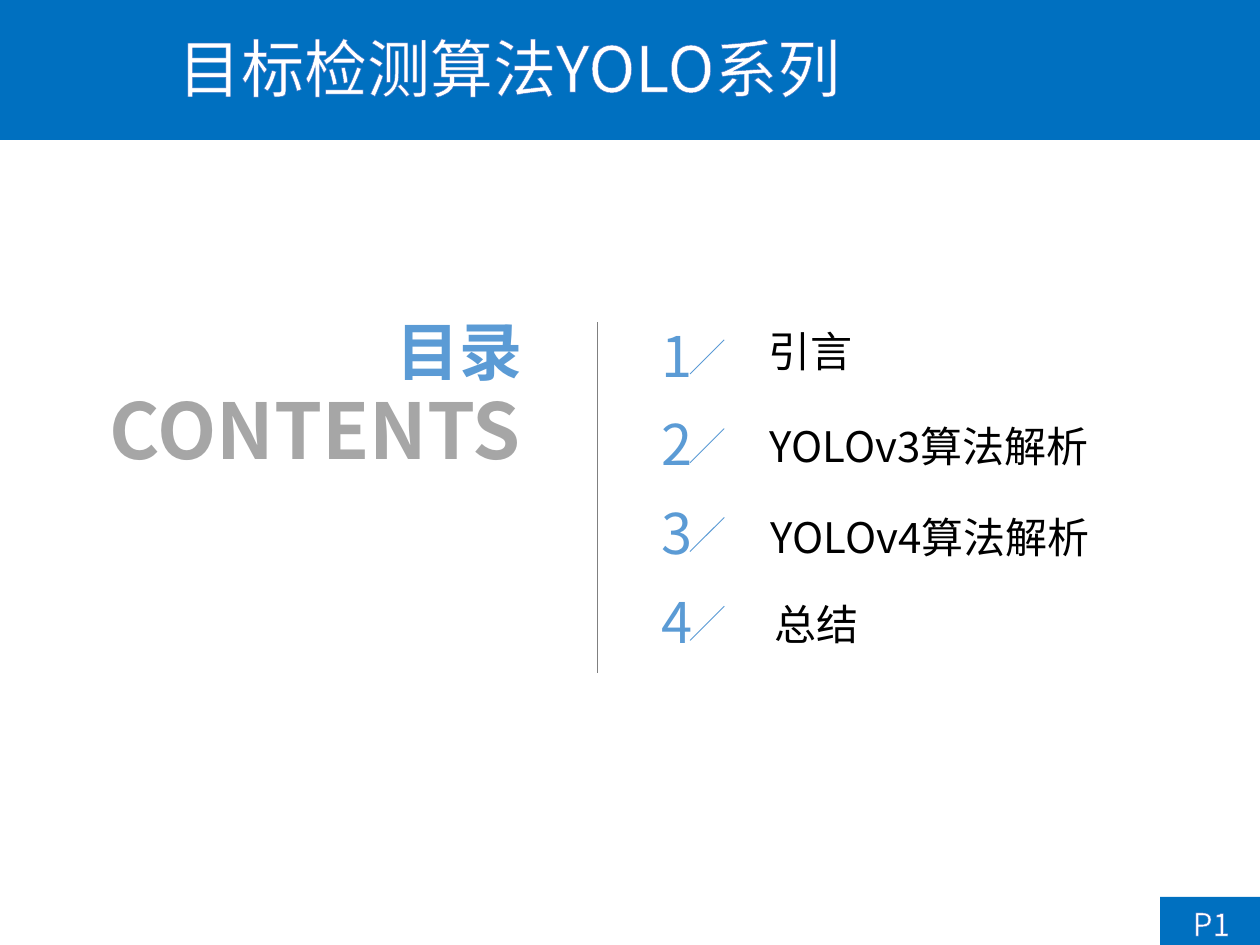
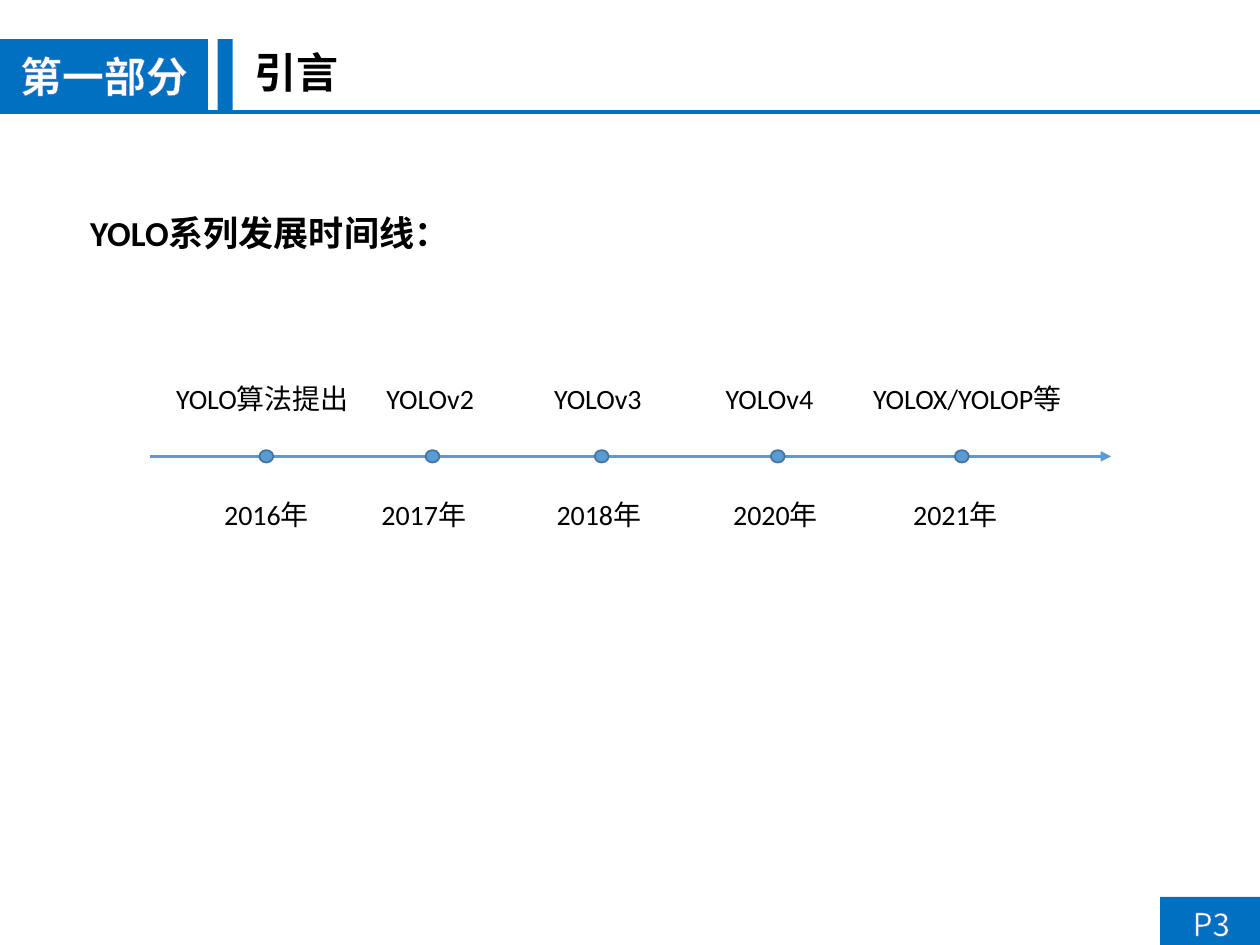
from lxml import etree
from pptx import Presentation
from pptx import util as u
from pptx.dml.color import RGBColor
from pptx.enum import shapes, text
from pptx.oxml import ns

Cm, Pt = u.Cm, u.Pt
SHAPE, ALIGN = shapes.MSO_SHAPE, text.PP_ALIGN
COLORS = {"band": "0070C0", "accent": "5B9BD5", "dot_edge": "43739E", "outline": "4472C4",
          "grey": "A6A6A6", "divider": "808080", "white": "FFFFFF", "black": "000000"}
CJK, LATIN = "Noto Sans CJK SC", "Calibri"


def write(sp, words, size, color="black", font=CJK, bold=False, align=ALIGN.LEFT,
          anchor=text.MSO_ANCHOR.TOP, outlined=False):
    """Fill the shape with one run; outlined adds a thin contour to the letters."""
    tf = sp.text_frame
    tf.word_wrap = True
    tf.auto_size = text.MSO_AUTO_SIZE.NONE
    tf.vertical_anchor = anchor
    p = tf.paragraphs[0]
    p.alignment = align
    r = p.add_run()
    r.text = words
    r.font.size, r.font.bold, r.font.name = Pt(size), bold, font
    r.font.color.rgb = RGBColor.from_string(COLORS[color])
    rPr = r.font._element
    etree.SubElement(rPr, ns.qn("a:ea"), typeface=CJK)
    if outlined:
        ln = etree.Element(ns.qn("a:ln"), w=str(Pt(0.8)))
        fill = etree.SubElement(ln, ns.qn("a:solidFill"))
        etree.SubElement(fill, ns.qn("a:srgbClr"), val=COLORS["outline"])
        rPr.insert(0, ln)


def draw(s, kind, x, y, w, h, color, width=0, edge=None):
    """Add a preset shape, or a line from (x, y) spanning (w, h) when kind is None."""
    if kind is None:
        sp = s.shapes.add_connector(shapes.MSO_CONNECTOR.STRAIGHT,
                                    Cm(x), Cm(y), Cm(x + w), Cm(y + h))
        etree.SubElement(sp._element.spPr, ns.qn("a:effectLst"))
        edge = color
    else:
        sp = s.shapes.add_shape(kind, Cm(x), Cm(y), Cm(w), Cm(h))
        sp.shadow.inherit = False
        sp.fill.solid()
        sp.fill.fore_color.rgb = RGBColor.from_string(COLORS[color])
    if edge:
        sp.line.color.rgb = RGBColor.from_string(COLORS[edge])
        sp.line.width = Pt(width)
    else:
        sp.line.fill.background()
    return sp


prs = Presentation()
prs.slide_width, prs.slide_height = Cm(25.4), Cm(19.05)
contents, intro = [prs.slides.add_slide(prs.slide_layouts[5]) for _ in range(2)]

# Contents: header band and title
s = contents
draw(s, SHAPE.RECTANGLE, 0, -0.05, 25.4, 2.87, "band")
title = s.shapes.title
title.left, title.top, title.width, title.height = Cm(0.79), Cm(0.46), Cm(18.95), Cm(1.8)
write(title, "目标检测算法YOLO系列", 36, "white", align=ALIGN.CENTER, outlined=True)
s.shapes.element.append(title.element)  # in front of the band

# Contents: heading and divider
sp = s.shapes.add_textbox(Cm(1.96), Cm(7.59), Cm(9.42), Cm(2.13))
write(sp, "CONTENTS", 44, "grey", bold=True)
sp = s.shapes.add_textbox(Cm(7.75), Cm(6.17), Cm(3.12), Cm(1.85))
write(sp, "目录", 36, "accent", bold=True)
draw(s, None, 12.04, 6.5, 0, 7.06, "divider", 0.5)

# Contents: numbered chapters
chapters = [("引言", 15.24, 6.43), ("YOLOv3算法解析", 15.27, 8.36),
            ("YOLOv4算法解析", 15.29, 10.19), ("总结", 15.37, 11.94)]
for i, (name, x, y) in enumerate(chapters):
    number_y = 6.35 + 1.79 * i
    sp = s.shapes.add_textbox(Cm(13.08), Cm(number_y), Cm(1.1), Cm(1.63))
    write(sp, str(i + 1), 32, "accent", align=ALIGN.CENTER)
    draw(s, None, 14.6, number_y + 0.5, -0.69, 0.69, "accent", 0.5)
    sp = s.shapes.add_textbox(Cm(x), Cm(y), Cm(7.7), Cm(1.27))
    write(sp, name, 24)

# Introduction: section header
s = intro
title = s.shapes.title
title.left, title.top, title.width, title.height = Cm(4.88), Cm(0.81), Cm(2.36), Cm(1.27)
write(title, "引言", 24, bold=True)
tag = draw(s, SHAPE.RECTANGLE, 0, 0.79, 4.19, 1.47, "band")
write(tag, "第一部分", 24, "white", bold=True, align=ALIGN.CENTER,
      anchor=text.MSO_ANCHOR.MIDDLE, outlined=True)
draw(s, SHAPE.RECTANGLE, 4.39, 0.79, 0.3, 1.47, "band")
draw(s, None, 0, 2.26, 25.4, 0, "band", 2)
sp = s.shapes.add_textbox(Cm(1.57), Cm(4.14), Cm(8.28), Cm(1.12))
write(sp, "YOLO系列发展时间线：", 20, font=LATIN, bold=True)

# Introduction: timeline
axis_y = 9.2
axis = draw(s, None, 3.02, axis_y, 19.38, 0, "accent", 1.5)
etree.SubElement(axis.line._get_or_add_ln(), ns.qn("a:tailEnd"), type="triangle")
dot_w, dot_h = 0.28, 0.25
# dot centre, version, its left and width, year, its left
milestones = [(5.37, "YOLO算法提出", 3.3, 4.62, 2016, 4.27),
              (8.72, "YOLOv2", 7.54, 2.67, 2017, 7.44),
              (12.13, "YOLOv3", 10.92, 2.67, 2018, 10.97),
              (15.68, "YOLOv4", 14.38, 2.67, 2020, 14.53),
              (19.39, "YOLOX/YOLOP等", 17.35, 4.62, 2021, 18.16)]
for x, version, version_x, version_w, year, year_x in milestones:
    draw(s, SHAPE.FLOWCHART_CONNECTOR, x - dot_w / 2, axis_y - dot_h / 2, dot_w, dot_h,
         "accent", 1, "dot_edge")
    sp = s.shapes.add_textbox(Cm(version_x), Cm(7.57), Cm(version_w), Cm(0.94))
    write(sp, version, 16, font=LATIN)
    sp = s.shapes.add_textbox(Cm(year_x), Cm(9.9), Cm(2.59), Cm(0.94))
    write(sp, f"{year}年", 16, font=LATIN)

# Page numbers
for s, page in ((contents, "P1"), (intro, "P3")):
    draw(s, SHAPE.RECTANGLE, 23.39, 18.08, 2.01, 0.97, "band")
    sp = s.shapes.add_textbox(Cm(23.57), Cm(18.11), Cm(1.7), Cm(1.02))
    write(sp, page, 18, "white", align=ALIGN.CENTER, outlined=True)

prs.save("out.pptx")
